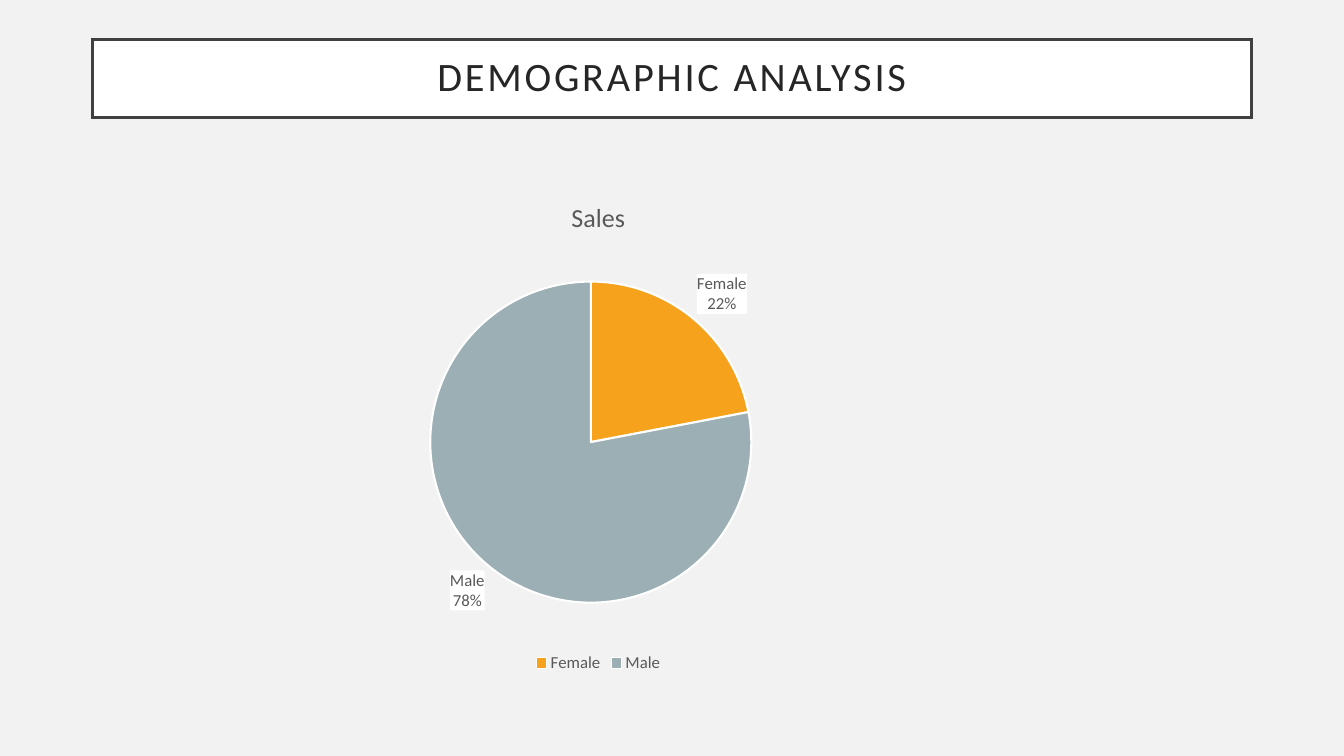
"""Build the demographic analysis slide with a pie chart of sales by gender."""
from dataclasses import dataclass

import lxml.etree
import pptx
import pptx.chart.data
import pptx.dml.color
import pptx.enum.chart
import pptx.enum.shapes
import pptx.enum.text
import pptx.oxml
import pptx.oxml.ns
import pptx.util

Cm, Pt = pptx.util.Cm, pptx.util.Pt
qn = pptx.oxml.ns.qn


@dataclass(frozen=True)
class Theme:
    font: str = "Calibri"
    background: str = "F2F2F2"
    white: str = "FFFFFF"
    frame: str = "404040"
    title: str = "262626"
    muted: str = "595959"
    title_size: float = 28.8
    chart_title_size: float = 18.6
    label_size: float = 12


@dataclass(frozen=True)
class Slice:
    name: str
    share: int
    color: str


THEME = Theme()
SLICES = [Slice("Female", 22, "F6A21D"), Slice("Male", 78, "9BAFB5")]


def rgb(color: str) -> pptx.dml.color.RGBColor:
    return pptx.dml.color.RGBColor.from_string(color)


def paint(fill, color: str) -> None:
    fill.solid()
    fill.fore_color.rgb = rgb(color)


def style_font(font, size: float, color: str) -> None:
    font.name = THEME.font
    font.size = Pt(size)
    font.bold = False
    font.color.rgb = rgb(color)


def add_title(s, text: str) -> None:
    sp = s.shapes.add_shape(pptx.enum.shapes.MSO_SHAPE.RECTANGLE,
                            Cm(2.33), Cm(1), Cm(29.21), Cm(1.96))
    sp.shadow.inherit = False
    paint(sp.fill, THEME.white)
    sp.line.color.rgb = rgb(THEME.frame)
    sp.line.width = Pt(2.5)
    outline = sp._element.spPr.find(qn("a:ln"))
    lxml.etree.SubElement(outline, qn("a:miter")).set("lim", "800000")
    tf = sp.text_frame
    tf.word_wrap = True
    tf.vertical_anchor = pptx.enum.text.MSO_ANCHOR.MIDDLE
    tf.margin_left = tf.margin_right = tf.margin_top = tf.margin_bottom = Cm(0.51)
    p = tf.paragraphs[0]
    p.alignment = pptx.enum.text.PP_ALIGN.CENTER
    p.line_spacing = 0.9
    r = p.add_run()
    r.text = text
    style_font(p.font, THEME.title_size, THEME.title)
    r._r.get_or_add_rPr().set("spc", "200")


def fill_labels(labels, color: str) -> None:
    ns = pptx.oxml.ns.nsdecls("c", "a")
    box = pptx.oxml.parse_xml(
        f'<c:spPr {ns}><a:solidFill><a:srgbClr val="{color}"/></a:solidFill></c:spPr>')
    labels._element.find(qn("c:txPr")).addprevious(box)


def add_pie(s, name: str, slices: list[Slice]) -> None:
    data = pptx.chart.data.CategoryChartData()
    data.categories = [item.name for item in slices]
    data.add_series(name, [item.share for item in slices])
    chart = s.shapes.add_chart(pptx.enum.chart.XL_CHART_TYPE.PIE,
                               Cm(3.88), Cm(4.51), Cm(22.4), Cm(12.55), data).chart
    style_font(chart.font, THEME.label_size, THEME.muted)

    chart.has_title = True
    p = chart.chart_title.text_frame.paragraphs[0]
    p.add_run().text = name
    style_font(p.font, THEME.chart_title_size, THEME.muted)
    chart.chart_title.include_in_layout = False

    chart.has_legend = True
    chart.legend.position = pptx.enum.chart.XL_LEGEND_POSITION.BOTTOM
    chart.legend.include_in_layout = False
    style_font(chart.legend.font, THEME.label_size, THEME.muted)

    plot = chart.plots[0]
    plot.vary_by_categories = True
    series = plot.series[0]
    for i, item in enumerate(slices):
        fmt = series.points[i].format
        paint(fmt.fill, item.color)
        fmt.line.color.rgb = rgb(THEME.white)
        fmt.line.width = Pt(1.5)

    labels = series.data_labels
    style_font(labels.font, THEME.label_size, THEME.muted)
    labels.show_value = False
    labels.show_category_name = True
    labels.show_percentage = True
    labels.position = pptx.enum.chart.XL_LABEL_POSITION.OUTSIDE_END
    fill_labels(labels, THEME.white)


def main() -> None:
    prs = pptx.Presentation()
    prs.slide_width, prs.slide_height = Cm(33.87), Cm(19.05)
    s = prs.slides.add_slide(prs.slide_layouts[6])
    paint(s.background.fill, THEME.background)
    add_title(s, "DEMOGRAPHIC ANALYSIS")
    add_pie(s, "Sales", SLICES)
    prs.save("out.pptx")


if __name__ == "__main__":
    main()
